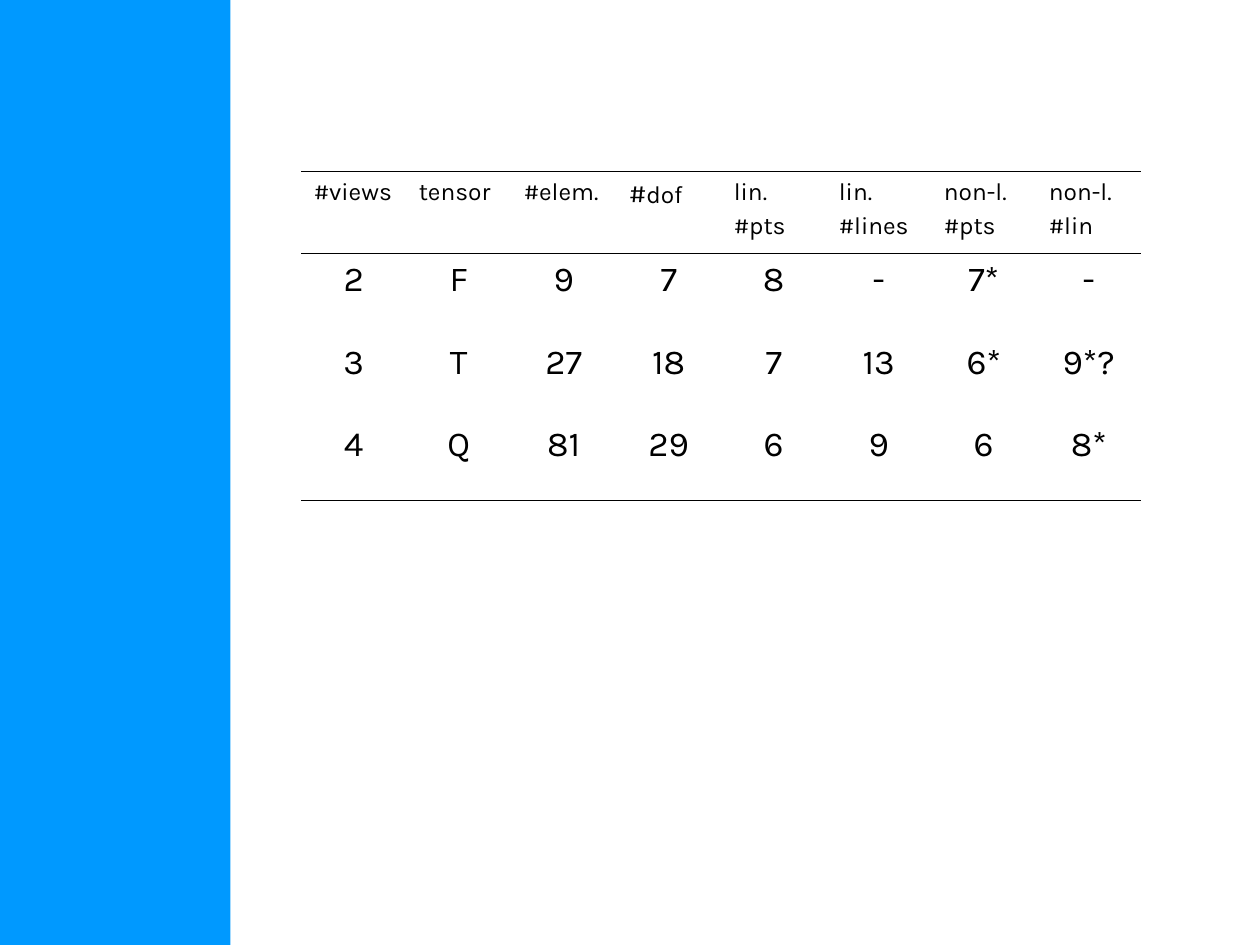
from pptx import Presentation, util as u
from pptx.dml.color import RGBColor
from pptx.enum import shapes, text
from pptx.oxml.ns import qn
from lxml import etree

WIDTH, HEIGHT = u.Inches(10), u.Inches(7.5)
BLACK, BLUE = "000000", "0099FF"
RULE_WIDTH = u.Pt(0.45)
HEADER_FORMAT = {"space_before": u.Pt(3.5), "alignment": text.PP_ALIGN.LEFT}
BODY_FORMAT = {"space_before": u.Pt(5), "alignment": text.PP_ALIGN.CENTER}
HEADER_SIZE, HASH_SIZE, BODY_SIZE = 14, 16, 20

HEADINGS = ["#views", "tensor", "#elem.", "#dof",
            "lin.\n#pts", "lin.\n#lines", "non-l.\n#pts", "non-l.\n#lin"]
VIEWS = [
    ["2", "F", "9", "7", "8", "-", "7*", "-"],
    ["3", "T", "27", "18", "7", "13", "6*", "9*?"],
    ["4", "Q", "81", "29", "6", "9", "6", "8*"],
]


def colour(value):
    """Turn a hex string into a colour."""
    return RGBColor.from_string(value)


def set_format(target, values):
    """Set each attribute named in a dict of format values."""
    for attribute, value in values.items():
        setattr(target, attribute, value)


def add_sidebar(slide, box):
    """Draw the plain colour band in the given box."""
    band = slide.shapes.add_shape(shapes.MSO_SHAPE.RECTANGLE, *box)
    band.shadow.inherit = False
    band.fill.solid()
    band.fill.fore_color.rgb = colour(BLUE)
    band.line.fill.background()


def rule_cell(cell, ruled_sides):
    """Rule the named sides of a cell and clear its other sides and fill."""
    properties = cell._tc.get_or_add_tcPr()
    for side in "LRTB":
        edge = etree.SubElement(properties, qn(f"a:ln{side}"), w=str(RULE_WIDTH))
        if side in ruled_sides:
            ink = etree.SubElement(edge, qn("a:solidFill"))
            etree.SubElement(ink, qn("a:srgbClr"), val=BLACK)
        else:
            etree.SubElement(edge, qn("a:noFill"))
    cell.fill.background()


def write_cell(cell, lines, paragraph_format):
    """Write lines of (wording, size) runs into a cell."""
    frame = cell.text_frame
    for number, pieces in enumerate(lines):
        paragraph = frame.add_paragraph() if number else frame.paragraphs[0]
        set_format(paragraph, paragraph_format)
        for wording, size in pieces:
            run = paragraph.add_run()
            run.text = wording
            set_format(run.font, {"name": "Karla", "size": u.Pt(size)})
            run.font.color.rgb = colour(BLACK)


def heading_lines(heading):
    """Split a heading into lines, with the larger hash sign of #dof."""
    if heading == "#dof":
        return [[("#", HASH_SIZE), ("dof", HEADER_SIZE)]]
    return [[(line, HEADER_SIZE)] for line in heading.split("\n")]


def add_views_table(slide, box):
    """Lay out the tensor comparison on an even grid in the given box."""
    row_count, column_count = len(VIEWS) + 1, len(HEADINGS)
    grid = slide.shapes.add_table(row_count, column_count, *box).table
    set_format(grid, {"first_row": False, "horz_banding": False})
    for column in grid.columns:
        column.width = box[2] // column_count
    for row in grid.rows:
        row.height = box[3] // row_count
    rules = {0: "TB", 1: "T", row_count - 1: "B"}
    for r, entries in enumerate([HEADINGS] + VIEWS):
        for c, entry in enumerate(entries):
            cell = grid.cell(r, c)
            rule_cell(cell, rules.get(r, ""))
            if r == 0:
                write_cell(cell, heading_lines(entry), HEADER_FORMAT)
            else:
                write_cell(cell, [[(entry, BODY_SIZE)]], BODY_FORMAT)


def main():
    """Build and save the slide."""
    deck = Presentation()
    set_format(deck, {"slide_width": WIDTH, "slide_height": HEIGHT})
    slide = deck.slides.add_slide(deck.slide_layouts[6])
    add_sidebar(slide, (0, 0, u.Inches(1.83), HEIGHT))
    add_views_table(slide, [u.Inches(n) for n in (2.39, 1.36, 6.67, 2.61)])
    deck.save("out.pptx")


if __name__ == "__main__":
    main()
